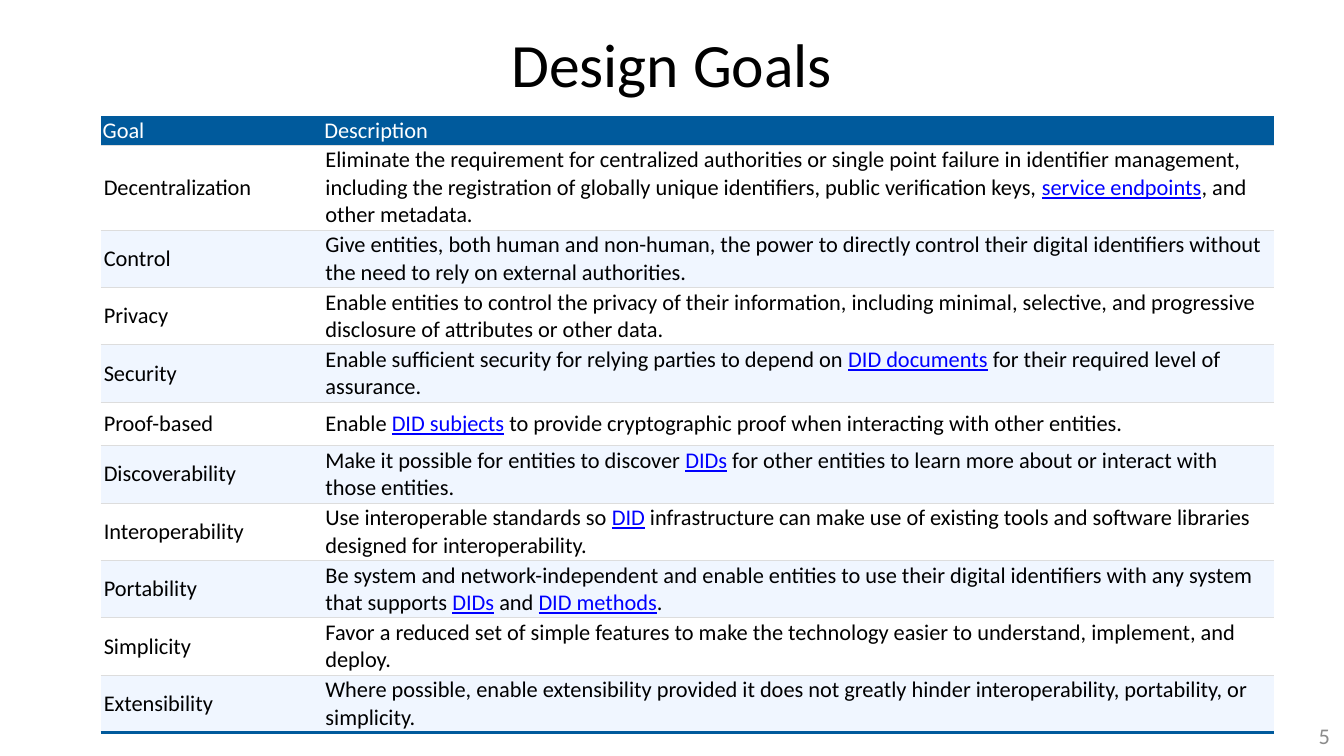
from lxml.etree import SubElement
from pptx import Presentation
from pptx.dml.color import RGBColor
from pptx.enum.text import MSO_ANCHOR, PP_ALIGN
from pptx.oxml.ns import qn
from pptx.util import Inches, Pt

COLORS = {
    "text": "000000",
    "head": "005A9C",
    "white": "FFFFFF",
    "band": "F0F6FF",
    "rule": "DDDDDD",
    "link": "0000FF",
    "number": "8C8C8C",
}

GOALS = [
    ("Decentralization", "Eliminate the requirement for centralized authorities or single point "
     "failure in identifier management, including the registration of globally unique identifiers, "
     "public verification keys, [service endpoints], and other metadata."),
    ("Control", "Give entities, both human and non-human, the power to directly control their "
     "digital identifiers without the need to rely on external authorities."),
    ("Privacy", "Enable entities to control the privacy of their information, including minimal, "
     "selective, and progressive disclosure of attributes or other data."),
    ("Security", "Enable sufficient security for relying parties to depend on [DID documents] "
     "for their required level of assurance."),
    ("Proof-based", "Enable [DID subjects] to provide cryptographic proof when interacting with "
     "other entities."),
    ("Discoverability", "Make it possible for entities to discover [DIDs] for other entities to "
     "learn more about or interact with those entities."),
    ("Interoperability", "Use interoperable standards so [DID] infrastructure can make use of "
     "existing tools and software libraries designed for interoperability."),
    ("Portability", "Be system and network-independent and enable entities to use their digital "
     "identifiers with any system that supports [DIDs] and [DID methods]."),
    ("Simplicity", "Favor a reduced set of simple features to make the technology easier to "
     "understand, implement, and deploy."),
    ("Extensibility", "Where possible, enable extensibility provided it does not greatly hinder "
     "interoperability, portability, or simplicity."),
]
WIDTHS = [2.2, 9.45]
HEIGHTS = [0.29, 0.84] + [0.57] * 3 + [0.43] + [0.57] * 5


def style(font, size, color):
    """Set the face, size and colour of a font."""
    font.name = "Calibri"
    font.size = Pt(size)
    font.bold = False
    font.color.rgb = RGBColor.from_string(COLORS[color])


def place(shape, left, top, width, height):
    """Move and size a shape, in inches."""
    shape.left, shape.top = Inches(left), Inches(top)
    shape.width, shape.height = Inches(width), Inches(height)


def write(shape, text, size, color, align):
    """Fill a shape with one line of text, centred in height."""
    frame = shape.text_frame
    frame.text = text
    frame.word_wrap = True
    frame.vertical_anchor = MSO_ANCHOR.MIDDLE
    frame.margin_left = frame.margin_right = Inches(0.13)
    frame.margin_top = frame.margin_bottom = Inches(0.07)
    line = frame.paragraphs[0]
    line.alignment = align
    style(line.runs[0].font, size, color)


def border(cell, side, color=None, width=0.75):
    """Draw one side of a cell, or clear it when no colour is given."""
    edge = SubElement(cell._tc.get_or_add_tcPr(), qn("a:ln" + side), w=str(Pt(width)))
    if color:
        fill = SubElement(edge, qn("a:solidFill"))
        SubElement(fill, qn("a:srgbClr"), val=COLORS[color])
    else:
        SubElement(edge, qn("a:noFill"))


def fill_cell(cell, text, color, back, inset):
    """Write a cell, with bracketed words shown as links."""
    cell.vertical_anchor = MSO_ANCHOR.MIDDLE
    cell.margin_left = cell.margin_right = Inches(inset)
    cell.margin_top = cell.margin_bottom = Inches(0.01)
    line = cell.text_frame.paragraphs[0]
    for index, part in enumerate(text.replace("]", "[").split("[")):
        run = line.add_run()
        run.text = part
        linked = index % 2 == 1
        style(run.font, 16, "link" if linked else color)
        run.font.underline = linked
    if back:
        cell.fill.solid()
        cell.fill.fore_color.rgb = RGBColor.from_string(COLORS[back])
    else:
        cell.fill.background()


def add_goals(slide):
    """Add the table of goals."""
    rows = [("Goal", "Description")] + GOALS
    last = len(rows) - 1
    table = slide.shapes.add_table(
        len(rows), len(WIDTHS), Inches(1), Inches(1.15),
        Inches(sum(WIDTHS)), Inches(sum(HEIGHTS))).table
    table.horz_banding = False
    for column, width in zip(table.columns, WIDTHS):
        column.width = Inches(width)
    for index, (row, height, texts) in enumerate(zip(table.rows, HEIGHTS, rows)):
        row.height = Inches(height)
        for cell, text in zip(row.cells, texts):
            border(cell, "L")
            border(cell, "R")
            border(cell, "T", "rule" if index else None)
            if index == last:
                border(cell, "B", "head", 2.25)
            else:
                border(cell, "B", "rule")
            if index == 0:
                fill_cell(cell, text, "white", "head", 0.02)
            else:
                fill_cell(cell, text, "text", None if index % 2 else "band", 0.03)


def main():
    """Build and save the slide."""
    deck = Presentation()
    deck.slide_width, deck.slide_height = Inches(13.34), Inches(7.5)
    slide = deck.slides.add_slide(deck.slide_layouts[5])
    title = slide.shapes.title
    place(title, 0, 0, 13.34, 1.25)
    write(title, "Design Goals", 44, "text", PP_ALIGN.CENTER)
    add_goals(slide)
    number = slide.shapes.add_textbox(
        Inches(10.22), Inches(7.1), Inches(3.11), Inches(0.4))
    write(number, "5", 16, "number", PP_ALIGN.RIGHT)
    deck.save("out.pptx")


if __name__ == "__main__":
    main()
